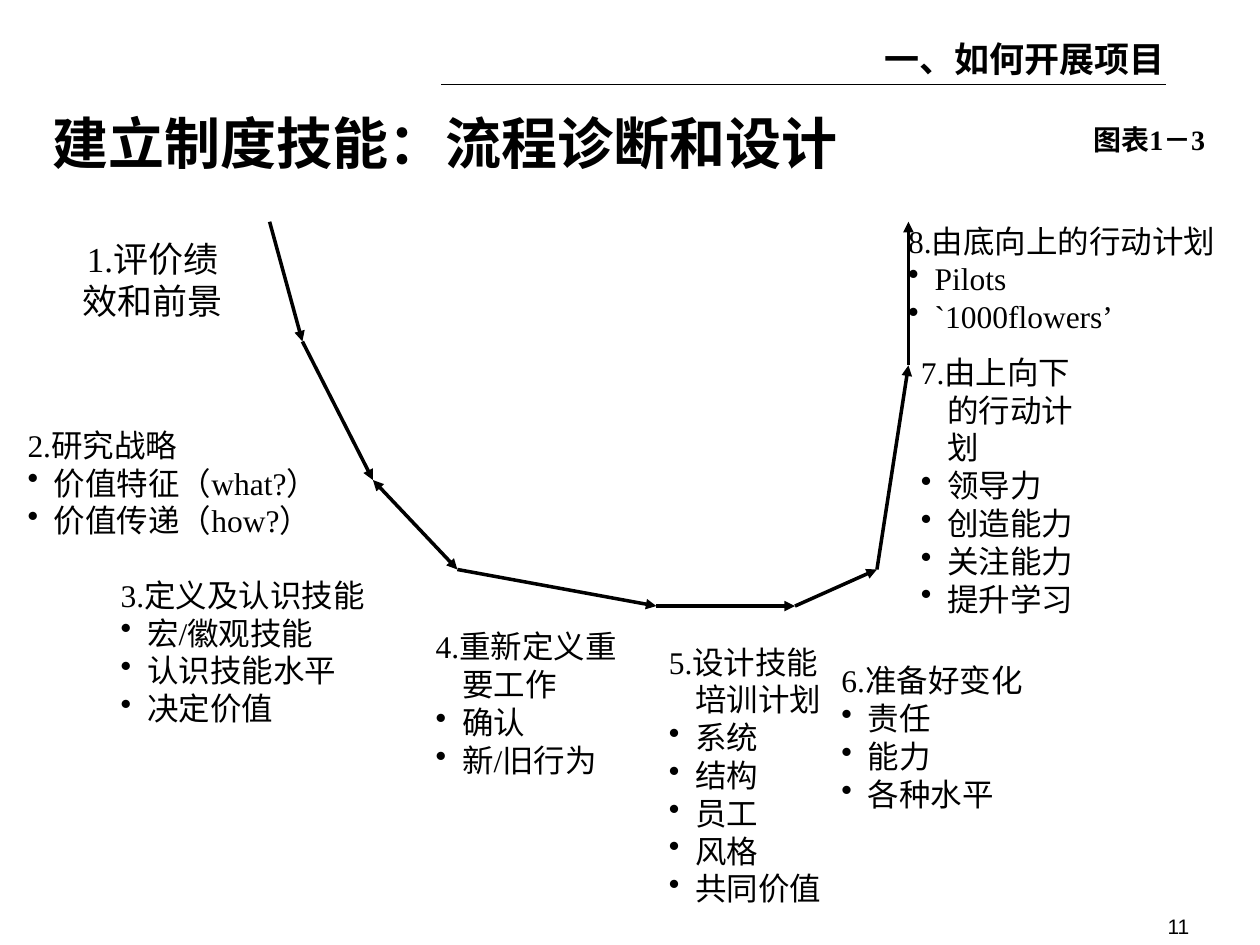
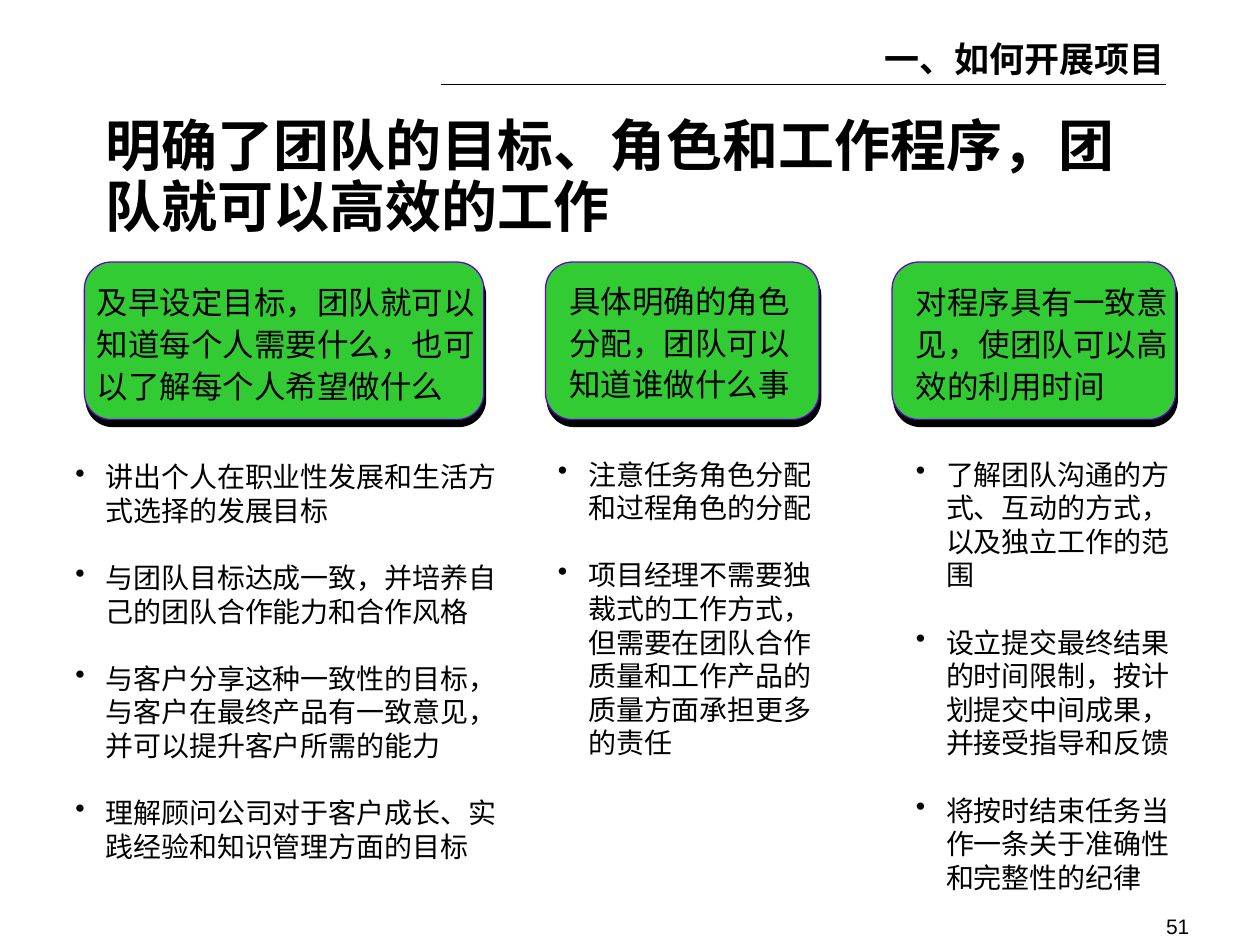
from dataclasses import dataclass
from itertools import pairwise

from lxml import etree
from pptx import Presentation
from pptx.dml.color import RGBColor
from pptx.enum.lang import MSO_LANGUAGE_ID
from pptx.enum.shapes import MSO_CONNECTOR, MSO_SHAPE
from pptx.enum.text import MSO_ANCHOR, MSO_AUTO_SIZE, PP_ALIGN
from pptx.oxml.ns import qn
from pptx.util import Inches, Pt

STRAIGHT = MSO_CONNECTOR.STRAIGHT
ROUNDED = MSO_SHAPE.ROUNDED_RECTANGLE
CHINESE = MSO_LANGUAGE_ID.SIMPLIFIED_CHINESE
TOP, MIDDLE = MSO_ANCHOR.TOP, MSO_ANCHOR.MIDDLE
GROW, FIXED = MSO_AUTO_SIZE.SHAPE_TO_FIT_TEXT, MSO_AUTO_SIZE.NONE
LEFT, CENTER, RIGHT = PP_ALIGN.LEFT, PP_ALIGN.CENTER, PP_ALIGN.RIGHT

COLUMNS, ROWS = 100, 75
SLIDE_WIDTH, SLIDE_HEIGHT = Inches(10), Inches(7.5)


@dataclass(frozen=True)
class Theme:
    """Colours, fonts and type sizes of the slides."""
    ink: str = "000000"
    card: str = "33CB33"
    card_edge: str = "6600CC"
    serif: str = "Times New Roman"
    sans: str = "Arial"
    title: int = 32
    section: int = 20
    step: int = 18
    detail: int = 16
    page: int = 12
    thin: float = 0.75
    thick: float = 2


THEME = Theme()
PADDED = (1, 0.5)
FLUSH = (0, 0)
STEP_INDENT, DETAIL_INDENT = 2.1, 2.4

CURVE_BOX = (21.4, 17.6)
CURVE_POINTS = [(0, 0), (2.6, 9.5), (8.2, 20.5), (14.9, 27.6), (30.7, 30.5),
                (41.7, 30.5), (48.2, 27.6), (50.7, 11.4), (50.7, 0)]
TWO_WAY_SEGMENT = 2

STEPS = [
    ((1.2, 33.3, 26.2, 10), "2.研究战略", ["价值特征（what?）", "价值传递（how?）"]),
    ((8.6, 45.2, 26.1, 13), "3.定义及认识技能", ["宏/徽观技能", "认识技能水平", "决定价值"]),
    ((33.6, 49.3, 16.4, 13), "4.重新定义重要工作", ["确认", "新/旧行为"]),
    ((52.1, 50.5, 14.9, 22), "5.设计技能培训计划",
     ["系统", "结构", "员工", "风格", "共同价值"]),
    ((65.8, 52, 20, 13), "6.准备好变化", ["责任", "能力", "各种水平"]),
    ((72.1, 27.5, 16.2, 22), "7.由上向下的行动计划",
     ["领导力", "创造能力", "关注能力", "提升学习"]),
    ((71.1, 17.1, 28.9, 10), "8.由底向上的行动计划", ["Pilots", "`1000flowers’"]),
]

TEAM_COLUMNS = [
    ((6.7, 20.8, 31.7, 12.5), (0, 0.9, 33.3), (-1.7, 15.2, 36.7),
     "及早设定目标，团队就可以知道每个人需要什么，也可以了解每个人希望做什么",
     ["讲出个人在职业性发展和生活方式选择的发展目标",
      "与团队目标达成一致，并培养自己的团队合作能力和合作风格",
      "与客户分享这种一致性的目标，与客户在最终产品有一致意见，并可以提升客户所需的能力",
      "理解顾问公司对于客户成长、实践经验和知识管理方面的目标"]),
    ((43.3, 20.8, 21.7, 12.5), (0.9, 0.8, 21.7), (0, 15, 24.2),
     "具体明确的角色分配，团队可以知道谁做什么事",
     ["注意任务角色分配和过程角色的分配",
      "项目经理不需要独裁式的工作方式，但需要在团队合作质量和工作产品的质量方面承担更多的责任"]),
    ((70.8, 20.8, 22.5, 12.5), (0.9, 0.9, 23.3), (0.9, 15, 24.2),
     "对程序具有一致意见，使团队可以高效的利用时间",
     ["了解团队沟通的方式、互动的方式，以及独立工作的范围",
      "设立提交最终结果的时间限制，按计划提交中间成果，并接受指导和反馈",
      "将按时结束任务当作一条关于准确性和完整性的纪律"]),
]


def across(columns):
    """Turn grid columns into a length."""
    return round(SLIDE_WIDTH * columns / COLUMNS)


def down(rows):
    """Turn grid rows into a length."""
    return round(SLIDE_HEIGHT * rows / ROWS)


def place(box):
    """Turn a grid box into left, top, width and height."""
    left, top, width, height = box
    return across(left), down(top), across(width), down(height)


def assign(target, **values):
    """Set each named format value on the target."""
    for name, value in values.items():
        setattr(target, name, value)


def add_bullet(paragraph):
    """Give the paragraph a round bullet in the ink colour."""
    properties = paragraph._p.get_or_add_pPr()
    colour = etree.SubElement(properties, qn("a:buClr"))
    etree.SubElement(colour, qn("a:srgbClr"), val=THEME.ink)
    etree.SubElement(properties, qn("a:buChar"), char="•")


def add_text(slide, box, lines, size, font=THEME.serif, bold=False, align=LEFT,
             anchor=TOP, padding=PADDED, grow=GROW, spacing=None, indent=0,
             first_bullet=None, gap=0):
    """Write lines in a box, with bullets from the given line onwards."""
    frame = slide.shapes.add_textbox(*place(box)).text_frame
    side, edge = across(padding[0]), down(padding[1])
    assign(frame, word_wrap=True, auto_size=grow, vertical_anchor=anchor,
           margin_left=side, margin_right=side, margin_top=edge, margin_bottom=edge)
    for index, line in enumerate(lines):
        paragraph = frame.add_paragraph() if index else frame.paragraphs[0]
        if indent:
            properties = paragraph._p.get_or_add_pPr()
            properties.set("marL", str(across(indent)))
            properties.set("indent", str(-across(indent)))
        if first_bullet is not None and index >= first_bullet:
            add_bullet(paragraph)
        assign(paragraph, alignment=align, line_spacing=spacing)
        if index and gap:
            paragraph.space_before = Pt(gap)
        run = paragraph.add_run()
        run.text = line
        assign(run.font, name=font, size=Pt(size), bold=bold, language_id=CHINESE)
        run.font.color.rgb = RGBColor.from_string(THEME.ink)


def add_line(slide, start, end, width, heads=()):
    """Draw a straight line with arrowheads at the named ends."""
    connector = slide.shapes.add_connector(
        STRAIGHT, across(start[0]), down(start[1]), across(end[0]), down(end[1]))
    connector.line.color.rgb = RGBColor.from_string(THEME.ink)
    connector.line.width = Pt(width)
    properties = connector.element.spPr
    outline = properties.find(qn("a:ln"))
    for head in heads:
        etree.SubElement(outline, qn(f"a:{head}"), type="triangle")
    etree.SubElement(properties, qn("a:effectLst"))


def add_frame(slide, title, title_corner, page):
    """Add the section heading, rule, title and page number."""
    add_line(slide, (35, 6.7), (92.5, 6.7), THEME.thin)
    add_text(slide, (69.2, 2.5, 30.8, 4.4), ["一、如何开展项目"], THEME.section, bold=True)
    add_text(slide, (*title_corner, 84.4, 4.8), [title], THEME.title, THEME.sans,
             bold=True, padding=FLUSH, grow=FIXED, spacing=0.9)
    add_text(slide, (73.7, 72.5, 20.7, 2), [page], THEME.page, THEME.sans,
             align=RIGHT, padding=FLUSH, grow=FIXED)


def add_curve(slide, corner, points):
    """Chain arrows through points measured from the corner."""
    stops = [(corner[0] + x, corner[1] + y) for x, y in points]
    for index, (start, end) in enumerate(pairwise(stops)):
        heads = ("headEnd", "tailEnd") if index == TWO_WAY_SEGMENT else ("tailEnd",)
        add_line(slide, start, end, THEME.thick, heads)


def add_card(slide, box):
    """Add a rounded card with a hard shadow below it."""
    card = slide.shapes.add_shape(ROUNDED, *place(box))
    card.adjustments[0] = 0.17
    card.fill.solid()
    card.fill.fore_color.rgb = RGBColor.from_string(THEME.card)
    card.line.color.rgb = RGBColor.from_string(THEME.card_edge)
    card.line.width = Pt(THEME.thin)
    card.shadow.inherit = False
    effects = card.element.spPr.find(qn("a:effectLst"))
    shadow = etree.SubElement(effects, qn("a:outerShdw"), blurRad="0", dist=str(Pt(4.1)),
                              dir=str(76 * 60000), algn="ctr", rotWithShape="0")
    etree.SubElement(shadow, qn("a:srgbClr"), val=THEME.ink)


def add_team_column(slide, box, label_offset, list_offset, label, details):
    """Add a card with its label and the bullet list under it."""
    left, top = box[:2]
    add_card(slide, box)
    x, y, width = label_offset
    add_text(slide, (left + x, top + y, width, 10.9), [label], THEME.step, spacing=1.1)
    x, y, width = list_offset
    add_text(slide, (left + x, top + y, width, 33), details, THEME.detail,
             indent=DETAIL_INDENT, first_bullet=0, gap=19.2)


def build_process_slide(slide):
    """Build the eight-step process along a curve of arrows."""
    add_frame(slide, "建立制度技能：流程诊断和设计", (4.2, 9.2), "11")
    add_text(slide, (5, 18.3, 14.2, 7.7), ["1.评价绩效和前景"], THEME.section,
             align=CENTER, anchor=MIDDLE)
    for box, heading, details in STEPS:
        add_text(slide, box, [heading, *details], THEME.step, anchor=MIDDLE,
                 indent=STEP_INDENT, first_bullet=1)
    add_curve(slide, CURVE_BOX, CURVE_POINTS)
    add_text(slide, (85.8, 9.2, 14.2, 3.7), ["图表1－3"], THEME.detail, bold=True)


def build_team_slide(slide):
    """Build the three columns on team goals, roles and procedures."""
    add_frame(slide, "明确了团队的目标、角色和工作程序，团队就可以高效的工作", (8.4, 9.4), "51")
    for column in TEAM_COLUMNS:
        add_team_column(slide, *column)


def main():
    """Build both slides and save the presentation."""
    presentation = Presentation()
    assign(presentation, slide_width=SLIDE_WIDTH, slide_height=SLIDE_HEIGHT)
    blank = presentation.slide_layouts[6]
    for build in (build_process_slide, build_team_slide):
        build(presentation.slides.add_slide(blank))
    presentation.save("out.pptx")


if __name__ == "__main__":
    main()
